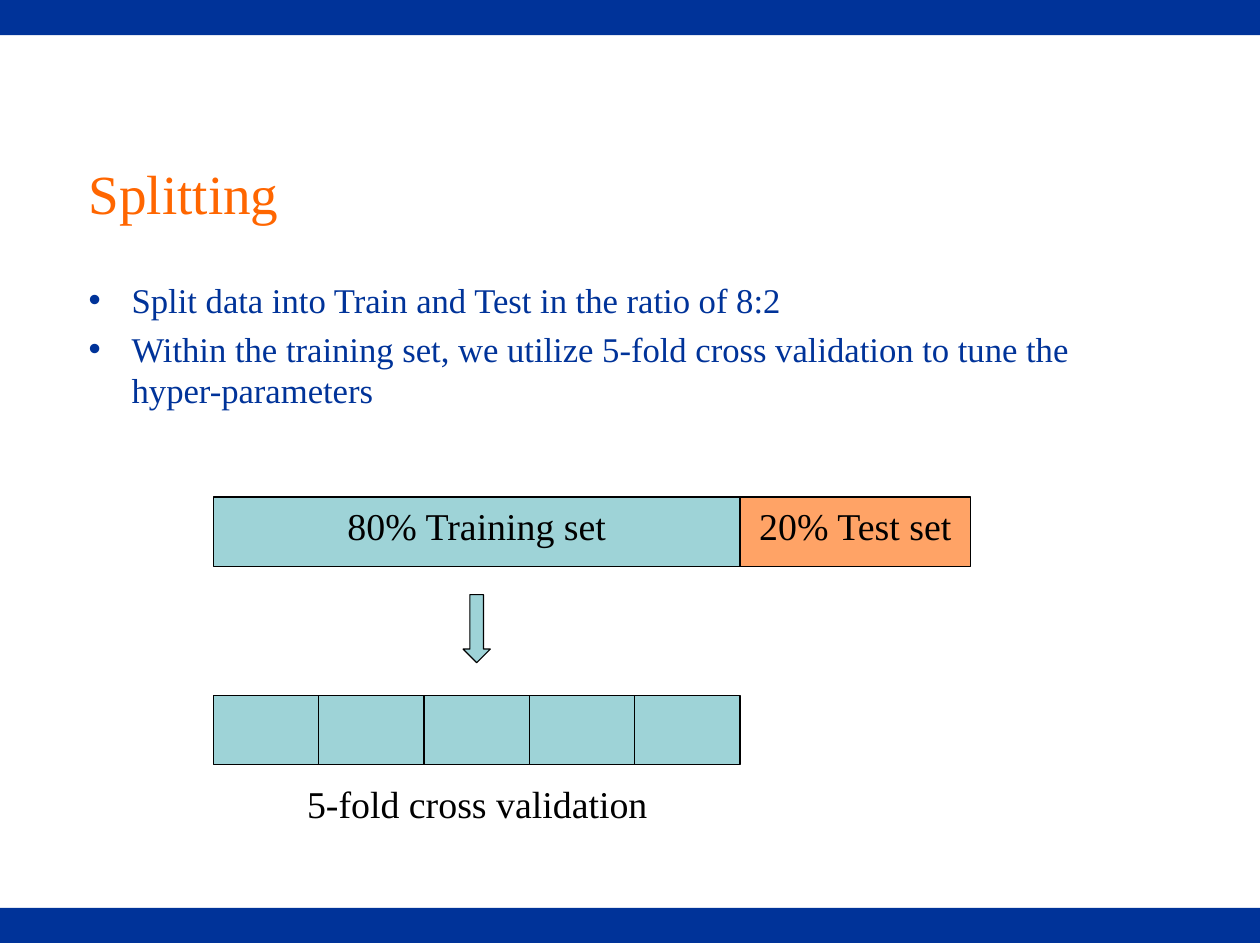
from pptx import Presentation
from pptx.dml.color import RGBColor
from pptx.enum.shapes import MSO_SHAPE
from pptx.enum.text import MSO_ANCHOR, MSO_AUTO_SIZE, PP_ALIGN
from pptx.util import Inches, Pt

BLUE, ORANGE, TEAL, PEACH, BLACK = "003399", "FF6600", "9ED3D7", "FFA366", "000000"


def write_text(shape, text, size=24, color=BLACK, align=PP_ALIGN.CENTER,
               anchor=MSO_ANCHOR.TOP, margins=(0.1, 0.05), wrap=True,
               space_before=0, hanging=0):
    frame = shape.text_frame
    frame.text = text
    frame.word_wrap = wrap
    frame.auto_size = MSO_AUTO_SIZE.NONE
    frame.vertical_anchor = anchor
    frame.margin_left = frame.margin_right = Inches(margins[0])
    frame.margin_top = frame.margin_bottom = Inches(margins[1])
    for paragraph in frame.paragraphs:
        paragraph.alignment = align
        paragraph.space_before = Pt(space_before)
        if hanging:
            properties = paragraph._p.get_or_add_pPr()
            properties.set("marL", str(Inches(hanging)))
            properties.set("indent", str(-Inches(hanging)))
        font = paragraph.runs[0].font
        font.name = "Times New Roman"
        font.size = Pt(size)
        font.color.rgb = RGBColor.from_string(color)


def add_block(left, top, width, height, fill, kind=MSO_SHAPE.RECTANGLE, line=BLACK):
    shape = slide.shapes.add_shape(
        kind, Inches(left), Inches(top), Inches(width), Inches(height))
    shape.shadow.inherit = False
    shape.fill.solid()
    shape.fill.fore_color.rgb = RGBColor.from_string(fill)
    if line:
        shape.line.color.rgb = RGBColor.from_string(line)
        shape.line.width = Pt(0.75)
    else:
        shape.line.fill.background()
    return shape


presentation = Presentation()
presentation.slide_width = Inches(11.1)
presentation.slide_height = Inches(8.31)
slide = presentation.slides.add_slide(presentation.slide_layouts[1])

for band_top in (0, 8):
    add_block(0, band_top, 11.1, 0.31, BLUE, line=None)

title = slide.shapes.title
title.left, title.top = Inches(0.67), Inches(1)
title.width, title.height = Inches(7.91), Inches(1.39)
write_text(title, "Splitting", size=35, color=ORANGE, align=PP_ALIGN.LEFT,
           anchor=MSO_ANCHOR.MIDDLE, margins=(0.11, 0.06))

body = slide.placeholders[1]
body.left, body.top = Inches(0.67), Inches(2.4)
body.width, body.height = Inches(9.44), Inches(5.18)
bullets = [
    "Split data into Train and Test in the ratio of 8:2",
    "Within the training set, we utilize 5-fold cross validation to tune the hyper-parameters",
]
write_text(body, "\n".join(bullets), size=22, color=BLUE, align=PP_ALIGN.LEFT,
           margins=(0.11, 0.06), space_before=4.4, hanging=0.38)

bar_left, training_width, bar_height = 1.88, 4.64, 0.61
training = add_block(bar_left, 4.38, training_width, bar_height, TEAL)
write_text(training, "80% Training set")
test = add_block(bar_left + training_width, 4.38, 2.03, bar_height, PEACH)
write_text(test, "20% Test set")

arrow_width = 0.24
add_block(bar_left + (training_width - arrow_width) / 2, 5.24, arrow_width, 0.6,
          TEAL, kind=MSO_SHAPE.DOWN_ARROW)

fold_count = 5
fold_width = training_width / fold_count
for fold in range(fold_count):
    add_block(bar_left + fold * fold_width, 6.13, fold_width, bar_height, TEAL)

caption = slide.shapes.add_textbox(Inches(2.59), Inches(6.83), Inches(3.23), Inches(0.5))
write_text(caption, "5-fold cross validation", wrap=False)

presentation.save("out.pptx")
